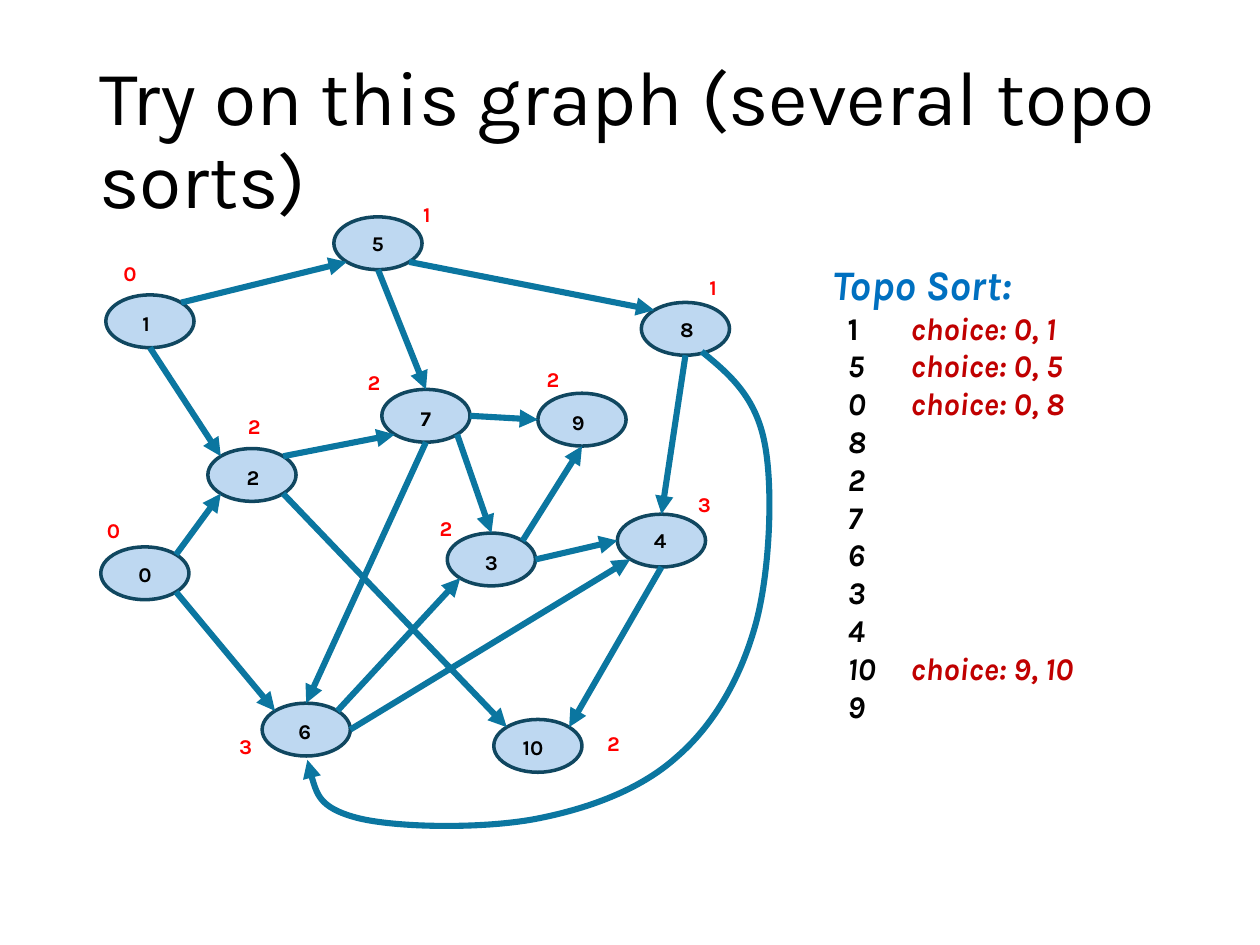
import math
from lxml import etree
from pptx import Presentation
from pptx.dml.color import RGBColor
from pptx.enum import shapes, text
from pptx.oxml.ns import qn
from pptx.util import Pt

FONT = "Karla"
BLACK, RED, BLUE, CRIMSON = "000000", "FF0000", "0070C0", "C00000"
EDGE, RIM, FILL = "0B76A0", "104760", "71AAE0"
WIDE, HIGH = 50.4, 30.2

# name: centre, corner of the name's box, corner of the in-degree's box, in-degree
NODES = {
    "0": ((82.8, 327.6), (72, 317.5), (54, 292.3), 0),
    "1": ((85.7, 183.6), (74.2, 174.2), (63.4, 145.4), 0),
    "2": ((144, 271.4), (133.9, 262.1), (134.6, 232.6), 2),
    "3": ((280.8, 319.7), (270, 310.3), (244.1, 290.9), 2),
    "4": ((378, 308.9), (366.5, 298.1), (391.7, 277.2), 3),
    "5": ((216, 139), (205.2, 128.2), (234.7, 111.6), 1),
    "6": ((175, 416.9), (163.4, 406.8), (129.6, 415.4), 3),
    "7": ((243.4, 237.6), (233.3, 228.2), (203, 207.4), 2),
    "8": ((391.7, 187.9), (381.6, 177.1), (398.2, 153.4), 1),
    "9": ((332.6, 239.8), (319.7, 230.4), (305.3, 205.9), 2),
    "10": ((307.4, 426.2), (291.6, 416.2), (339.8, 414), 2),
}
# Connection sites of an oval, counter-clockwise from the top
N, NW, W, SW, S, SE, E, NE = range(8)
EDGES = [
    ("0", NE, "2", SW), ("0", SE, "6", NW), ("1", NE, "5", SW),
    ("1", S, "2", NW), ("2", NE, "7", SW), ("2", SE, "10", NW),
    ("3", E, "4", W), ("3", NE, "9", S), ("4", S, "10", NE),
    ("5", S, "7", N), ("5", SE, "8", NW), ("6", NE, "3", SW),
    ("6", E, "4", SW), ("7", E, "9", W), ("7", SE, "3", N),
    ("7", S, "6", N), ("8", S, "4", N),
]
# Start, then two control points and an end for each curve
LOOP = [
    (401, 200.9),
    (416.9, 213.8), (432, 226.8), (437, 253.4),
    (442.1, 279.4), (439.9, 329), (431.3, 358.6),
    (422.6, 388.8), (407.5, 414.7), (386.6, 432.7),
    (365.8, 451.4), (336.2, 462.2), (306, 468),
    (275, 473.8), (225.4, 473), (203.8, 467.3),
    (182.2, 461.5), (178.6, 447.8), (175.7, 434.2),
]
ORDER = ["1", "5", "0", "8", "2", "7", "6", "3", "4", "10", "9"]
CHOICE = {"1": "0, 1", "5": "0, 5", "0": "0, 8", "10": "9, 10"}


def rgb(code):
    return RGBColor.from_string(code)


def style(font, size, color, bold=False, italic=False):
    font.name, font.size = FONT, Pt(size)
    font.bold, font.italic = bold, italic
    font.color.rgb = rgb(color)


def frame(slide, x, y, w, h):
    """Add a wrapping text box and return its text frame."""
    tf = slide.shapes.add_textbox(Pt(x), Pt(y), Pt(w), Pt(h)).text_frame
    tf.word_wrap = True
    return tf


def label(slide, words, spot, color):
    para = frame(slide, *spot, 24 if len(words) == 1 else 40, 21.6).paragraphs[0]
    para.text = words
    style(para.font, 12, color, bold=True)


def oval(slide, spot):
    x, y = spot
    node = slide.shapes.add_shape(
        shapes.MSO_SHAPE.OVAL, Pt(x - WIDE / 2), Pt(y - HIGH / 2), Pt(WIDE), Pt(HIGH))
    node.shadow.inherit = False
    node.fill.solid()
    node.fill.fore_color.rgb = rgb(FILL)
    tint = next(node.element.spPr.iter(qn("a:srgbClr")))
    etree.SubElement(tint, qn("a:alpha"), val="45000")
    node.line.color.rgb = rgb(RIM)
    node.line.width = Pt(2)
    return node


def arrow(line):
    """Give a line or curve its colour, width and head."""
    line.line.color.rgb = rgb(EDGE)
    line.line.width = Pt(3.5)
    etree.SubElement(line.element.spPr.find(qn("a:ln")), qn("a:tailEnd"), type="triangle")


def port(name, site):
    """Return the place of a connection site on a node's rim."""
    (x, y), turn = NODES[name][0], math.radians(45 * site)
    return Pt(x - WIDE / 2 * math.sin(turn)), Pt(y - HIGH / 2 * math.cos(turn))


def edge(slide, ovals, start, out, end, into):
    line = slide.shapes.add_connector(
        shapes.MSO_CONNECTOR.STRAIGHT, *port(start, out), *port(end, into))
    arrow(line)
    etree.SubElement(line.element.spPr, qn("a:effectLst"))
    joins = next(line.element.iter(qn("p:cNvCxnSpPr")))
    for tag, name, site in (("a:stCxn", start, out), ("a:endCxn", end, into)):
        etree.SubElement(joins, qn(tag), id=str(ovals[name].shape_id), idx=str(site))


def curve(slide, points):
    """Draw an arrow of joined cubic curves."""
    first, *rest = [(Pt(x), Pt(y)) for x, y in points]
    pen = slide.shapes.build_freeform(*first)
    pen.add_line_segments(rest, close=False)
    shape = pen.convert_to_shape()
    shape.shadow.inherit = False
    shape.fill.background()
    arrow(shape)
    track = next(shape.element.iter(qn("a:path")))
    steps = track.findall(qn("a:lnTo"))
    for i in range(0, len(steps), 3):
        bend = etree.SubElement(track, qn("a:cubicBezTo"))
        for step in steps[i:i + 3]:
            bend.append(step[0])
            track.remove(step)


def title(slide, words):
    tf = frame(slide, 49.7, 28.8, 620.6, 104.4)
    tf.vertical_anchor = text.MSO_ANCHOR.MIDDLE
    para = tf.paragraphs[0]
    para.text = words
    para.line_spacing = 0.9
    style(para.font, 44, BLACK)


def listing(slide):
    tf = frame(slide, 468.7, 144, 182.2, 298)
    head = tf.paragraphs[0]
    head.text = "Topo Sort:"
    style(head.font, 24, BLUE, bold=True, italic=True)
    for name in ORDER:
        para = tf.add_paragraph()
        props = para._p.get_or_add_pPr()
        props.set("marL", str(Pt(8.6)))
        props.set("indent", "0")
        if name in CHOICE:
            stops = etree.SubElement(props, qn("a:tabLst"))
            etree.SubElement(stops, qn("a:tab"), pos=str(Pt(34.5)), algn="l")
        run = para.add_run()
        run.text = name + ("\t" if name in CHOICE else "")
        style(run.font, 18, BLACK, bold=True, italic=name != "1")
        if name in CHOICE:
            run = para.add_run()
            run.text = "choice: " + CHOICE[name]
            style(run.font, 18, CRIMSON, bold=True, italic=True)


def main():
    deck = Presentation()
    deck.slide_width, deck.slide_height = Pt(720), Pt(540)
    slide = deck.slides.add_slide(deck.slide_layouts[6])
    title(slide, "Try on this graph (several topo sorts)")
    ovals = {name: oval(slide, node[0]) for name, node in NODES.items()}
    for link in EDGES:
        edge(slide, ovals, *link)
    curve(slide, LOOP)
    for name, (_, spot, mark, count) in NODES.items():
        label(slide, name, spot, BLACK)
        label(slide, str(count), mark, RED)
    listing(slide)
    deck.save("out.pptx")


if __name__ == "__main__":
    main()
